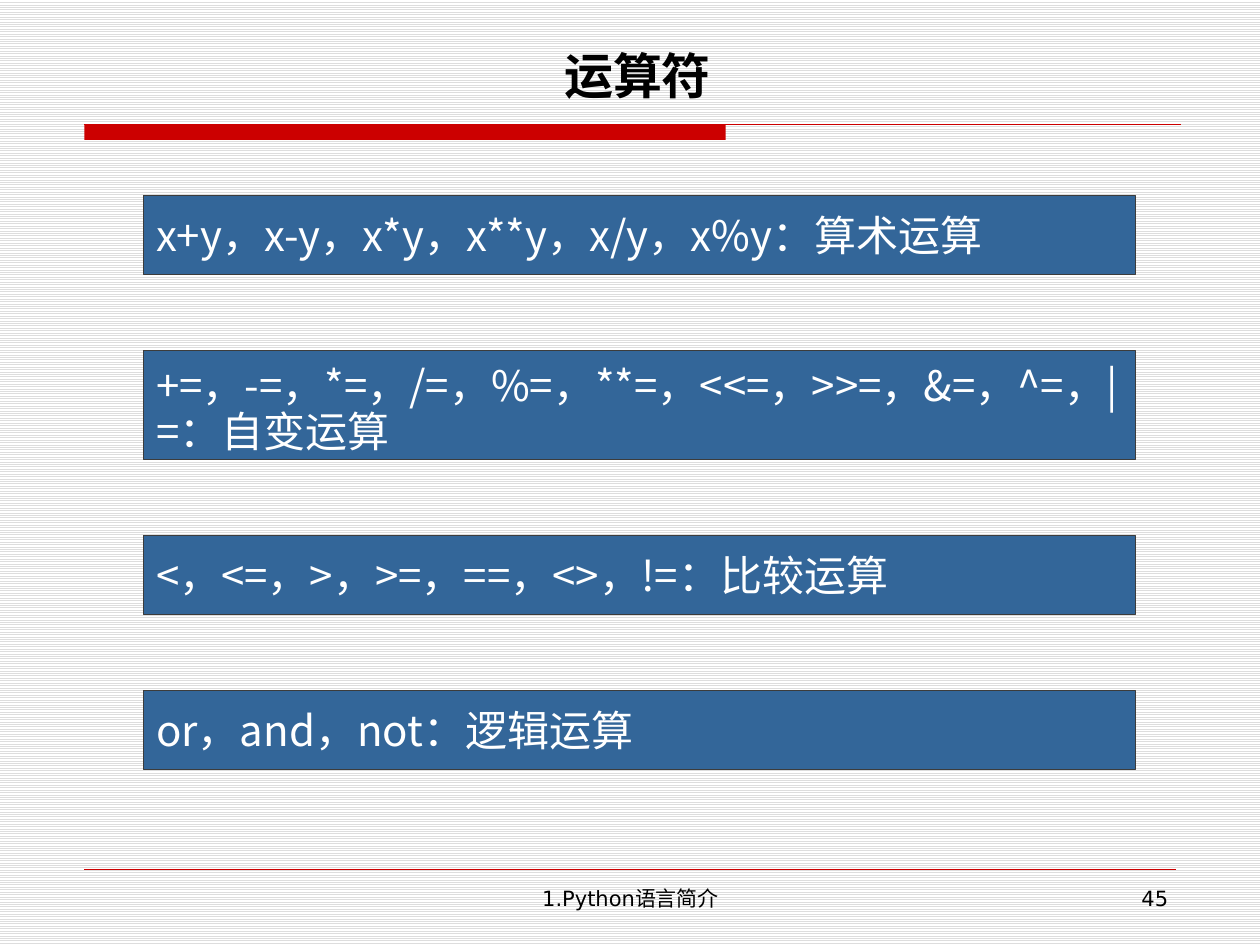
from dataclasses import dataclass

from lxml.etree import SubElement
from pptx import Presentation
from pptx.dml.color import RGBColor
from pptx.enum.dml import MSO_PATTERN
from pptx.enum.shapes import MSO_CONNECTOR, MSO_SHAPE
from pptx.enum.text import MSO_ANCHOR, MSO_AUTO_SIZE, PP_ALIGN
from pptx.oxml.ns import qn
from pptx.util import Inches, Pt


@dataclass(frozen=True)
class Theme:
    red: RGBColor = RGBColor(0xCC, 0x00, 0x00)
    blue: RGBColor = RGBColor(0x33, 0x66, 0x99)
    border: RGBColor = RGBColor(0x3C, 0x3C, 0x3C)
    stripe: RGBColor = RGBColor(0xDD, 0xDD, 0xDD)
    white: RGBColor = RGBColor(0xFF, 0xFF, 0xFF)
    black: RGBColor = RGBColor(0x00, 0x00, 0x00)
    title_size: Pt = Pt(28)
    body_size: Pt = Pt(24)
    footer_size: Pt = Pt(12)
    title_font: str = "Montserrat"
    body_font: str = "Noto Sans CJK SC"
    footer_font: str = "DejaVu Sans"


theme = Theme()


def write_text(shape, text, font, size, color, align, bold=False):
    shape.text_frame.word_wrap = True
    paragraph = shape.text_frame.paragraphs[0]
    paragraph.alignment = align
    run = paragraph.add_run()
    run.text = text
    run.font.name = font
    run.font.size = size
    run.font.bold = bold
    run.font.color.rgb = color
    # Chinese characters take the East Asian font
    east_asian = SubElement(run.font._element, qn("a:ea"))
    east_asian.set("typeface", theme.body_font)


def add_rule(left, right, top, width):
    rule = slide.shapes.add_connector(
        MSO_CONNECTOR.STRAIGHT, Inches(left), Inches(top), Inches(right), Inches(top))
    rule.line.color.rgb = theme.red
    rule.line.width = Pt(width)
    SubElement(rule._element.spPr, qn("a:effectLst"))


presentation = Presentation()
presentation.slide_width = Inches(10)
presentation.slide_height = Inches(7.5)
slide = presentation.slides.add_slide(presentation.slide_layouts[6])

# Striped background
background = slide.background.fill
background.patterned()
background.pattern = MSO_PATTERN.LIGHT_HORIZONTAL
background.fore_color.rgb = theme.stripe
background.back_color.rgb = theme.white

# Red bar and rule under the title, thin rule above the footer
bar = slide.shapes.add_shape(
    MSO_SHAPE.RECTANGLE, Inches(0.67), Inches(0.99), Inches(5.09), Inches(0.12))
bar.shadow.inherit = False
bar.fill.solid()
bar.fill.fore_color.rgb = theme.red
bar.line.fill.background()
add_rule(0.67, 9.37, 0.99, 0.75)
add_rule(0.67, 9.33, 6.9, 0.25)

# Title
title = slide.shapes.add_textbox(Inches(1.77), Inches(0.28), Inches(6.58), Inches(0.63))
title.text_frame.vertical_anchor = MSO_ANCHOR.MIDDLE
write_text(title, "运算符", theme.title_font, theme.title_size, theme.black,
           PP_ALIGN.CENTER, bold=True)

# Footer and slide number
for text, left, width, height, align in [
    ("1.Python语言简介", 3.42, 3.17, 0.37, PP_ALIGN.CENTER),
    ("45", 7.2, 2.17, 0.29, PP_ALIGN.RIGHT),
]:
    footer = slide.shapes.add_textbox(
        Inches(left), Inches(6.98), Inches(width), Inches(height))
    write_text(footer, text, theme.footer_font, theme.footer_size, theme.black, align)

# Operator boxes, stacked with equal gaps
operators = [
    ("x+y，x-y，x*y，x**y，x/y，x%y：算术运算", 1),
    ("+=，-=，*=，/=，%=，**=，<<=，>>=，&=，^=，|=：自变运算", 2),
    ("<，<=，>，>=，==，<>，!=：比较运算", 1),
    ("or，and，not：逻辑运算", 1),
]
box_heights = {1: 0.63, 2: 0.87}
gap = 0.6
top = 1.55
for text, line_count in operators:
    height = box_heights[line_count]
    box = slide.shapes.add_shape(
        MSO_SHAPE.RECTANGLE, Inches(1.14), Inches(top), Inches(7.87), Inches(height))
    box.shadow.inherit = False
    box.fill.solid()
    box.fill.fore_color.rgb = theme.blue
    box.line.color.rgb = theme.border
    box.line.width = Pt(0.75)
    box.text_frame.vertical_anchor = MSO_ANCHOR.MIDDLE
    if line_count > 1:
        box.text_frame.auto_size = MSO_AUTO_SIZE.TEXT_TO_FIT_SHAPE
    write_text(box, text, theme.body_font, theme.body_size, theme.white, PP_ALIGN.LEFT)
    top += height + gap

presentation.save("out.pptx")
